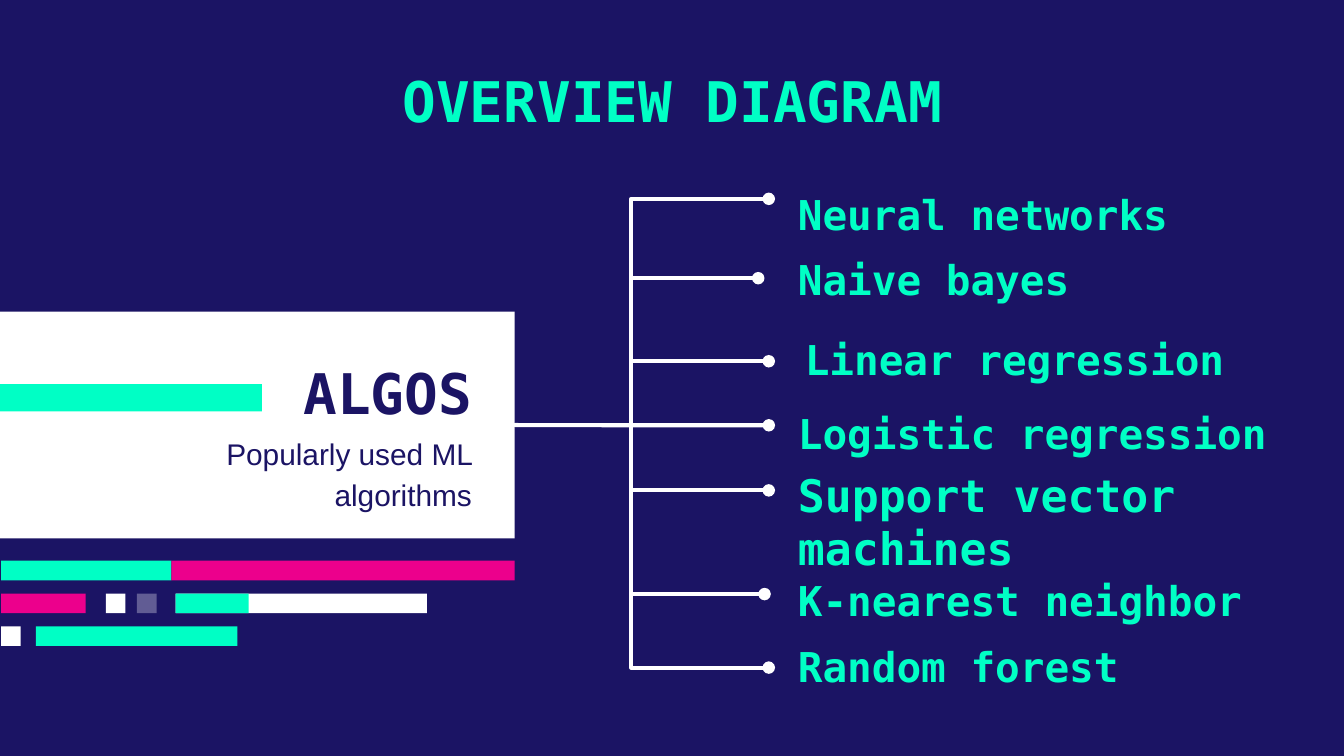
from lxml import etree
from pptx import Presentation
from pptx.dml import color as c
from pptx.enum import shapes as s, text as t
from pptx.oxml import ns
from pptx.util import Cm, Pt

COLOURS = {"navy": "1B1464", "mint": "00FFC5", "pink": "EC008C", "white": "FFFFFF"}
MONO, SANS = "DejaVu Sans Mono", "Arial"
BAR_HEIGHT, BAR_STEP, LABEL_HEIGHT = 0.37, 0.62, 0.76
TRUNK, STEM = 2.61, 4.38

BAR_ROWS = [
    [(0, 3.22, "mint", 100), (3.22, 6.49, "pink", 100)],
    [(3.3, 4.75, "white", 100), (3.3, 1.38, "mint", 100), (0, 1.6, "pink", 100),
     (2.57, 0.37, "white", 31), (1.98, 0.37, "white", 100)],
    [(0, 0.37, "white", 100), (0.66, 3.81, "mint", 100)],
]
BRANCHES = [
    ("Neural networks", 22, (5.51, 0, 9.3), (0, 5.21, 0.1)),
    ("Naive bayes", 22, (5.51, 1.24, 9.3), (0.41, 5.01, 1.6)),
    ("Linear regression", 22, (5.64, 2.74, 8.89), (0, 5.21, 3.17)),
    ("Logistic regression", 22, (5.51, 4.14, 9.86), (0.41, 5.21, STEM)),
    ("Support vector machines", 24, (5.51, 5.81, 9.86), (0, 5.21, 5.61)),
    ("K-nearest neighbor", 22, (5.51, 7.31, 9.27), (0.41, 5.13, 7.57)),
    ("Random forest", 22, (5.51, 8.56, 9.27), (0, 5.21, 8.96)),
]


def rgb(name):
    """Return the named colour."""
    return c.RGBColor.from_string(COLOURS[name])


def write_text(shape, text, size=22, font=MONO, colour="mint", bold=True, align="LEFT",
               anchor="MIDDLE", inset=0, spacing=1.0, after=0):
    """Fill a shape with one formatted paragraph."""
    frame = shape.text_frame
    frame.word_wrap = True
    frame.auto_size = t.MSO_AUTO_SIZE.NONE
    frame.vertical_anchor = t.MSO_ANCHOR[anchor]
    frame.margin_left = frame.margin_right = Cm(0.25)
    frame.margin_top = frame.margin_bottom = Cm(inset)
    para = frame.paragraphs[0]
    para.alignment = t.PP_ALIGN[align]
    para.line_spacing, para.space_before, para.space_after = spacing, Pt(0), Pt(after)
    span = para.add_run()
    span.text = text
    span.font.name, span.font.size, span.font.bold = font, Pt(size), bold
    span.font.color.rgb = rgb(colour)


def place(shape, box):
    """Move a placeholder to a box in centimetres."""
    shape.left, shape.top, shape.width, shape.height = map(Cm, box)
    return shape


def add_text(page, box, text, **style):
    """Add a text box with formatted text."""
    write_text(page.shapes.add_textbox(*map(Cm, box)), text, **style)


def add_bar(page, box, colour, opacity=100):
    """Add a plain filled rectangle."""
    bar = page.shapes.add_shape(s.MSO_SHAPE.RECTANGLE, *map(Cm, box))
    bar.shadow.inherit = False
    bar.fill.solid()
    bar.fill.fore_color.rgb = rgb(colour)
    bar.line.fill.background()
    if opacity < 100:
        tint = bar.fill._xPr.find(".//" + ns.qn("a:srgbClr"))
        etree.SubElement(tint, ns.qn("a:alpha"), val=str(opacity * 1000))
    return bar


def add_branch(page, start, tip, trunk, card):
    """Draw a line with a round tip, bent at the trunk unless it is level."""
    level = start[1] == tip[1]
    kind = s.MSO_CONNECTOR.STRAIGHT if level else s.MSO_CONNECTOR.ELBOW
    line = page.shapes.add_connector(kind, *map(Cm, start + tip))
    line.line.color.rgb = rgb("white")
    line.line.width = Pt(2.25)
    properties = line._element.spPr
    etree.SubElement(line.line._get_or_add_ln(), ns.qn("a:tailEnd"), type="oval")
    etree.SubElement(properties, ns.qn("a:effectLst"))
    if level:
        line.begin_connect(card, 3)
    else:
        bend = round((trunk - start[0]) / (tip[0] - start[0]) * 100000)
        guides = properties.find(ns.qn("a:prstGeom")).get_or_add_avLst()
        etree.SubElement(guides, ns.qn("a:gd"), name="adj1", fmla=f"val {bend}")


def build_card(page, box):
    """Place the white card with its heading and subtitle."""
    left, top, _, _ = box
    card = add_bar(page, box, "white")
    add_bar(page, (left, top + 1.37, 4.95, 0.52), "mint")
    add_text(page, (left + 2.41, top + 0.97, 6.76, 1.09), "ALGOS",
             size=30, colour="navy", align="RIGHT")
    subtitle = place(page.placeholders[1], (left + 2.41, top + 2.24, 6.76, 1.22))
    write_text(subtitle, "Popularly used ML algorithms", size=16, font=SANS, colour="navy",
               bold=False, align="RIGHT", anchor="TOP", spacing=1.15, after=16)
    page.shapes._spTree.append(subtitle._element)
    return card


def build_bars(page, box):
    """Place the rows of coloured bars below the card."""
    left, top = box
    for row, bars in enumerate(BAR_ROWS):
        for offset, width, colour, opacity in bars:
            add_bar(page, (left + offset, top + row * BAR_STEP, width, BAR_HEIGHT),
                    colour, opacity)


def build_tree(page, box, card):
    """Place the branches and their labels."""
    left, top = box
    for label, size, (x, y, width), (start, tip, height) in BRANCHES:
        add_branch(page, (left + start, top + STEM), (left + tip, top + height),
                   left + TRUNK, card)
        add_text(page, (left + x, top + y, width, LABEL_HEIGHT), label, size=size)


def main():
    """Build and save the deck."""
    deck = Presentation()
    deck.slide_width, deck.slide_height = Cm(25.4), Cm(14.29)
    page = deck.slides.add_slide(deck.slide_layouts[0])
    page.background.fill.solid()
    page.background.fill.fore_color.rgb = rgb("navy")
    write_text(place(page.shapes.title, (3.56, 0.97, 18.29, 1.85)), "OVERVIEW DIAGRAM",
               size=30, align="CENTER", inset=0.25)
    card = build_card(page, (0, 5.89, 9.73, 4.29))
    build_bars(page, (0.02, 10.6))
    build_tree(page, (9.32, 3.66), card)
    deck.save("out.pptx")


if __name__ == "__main__":
    main()
